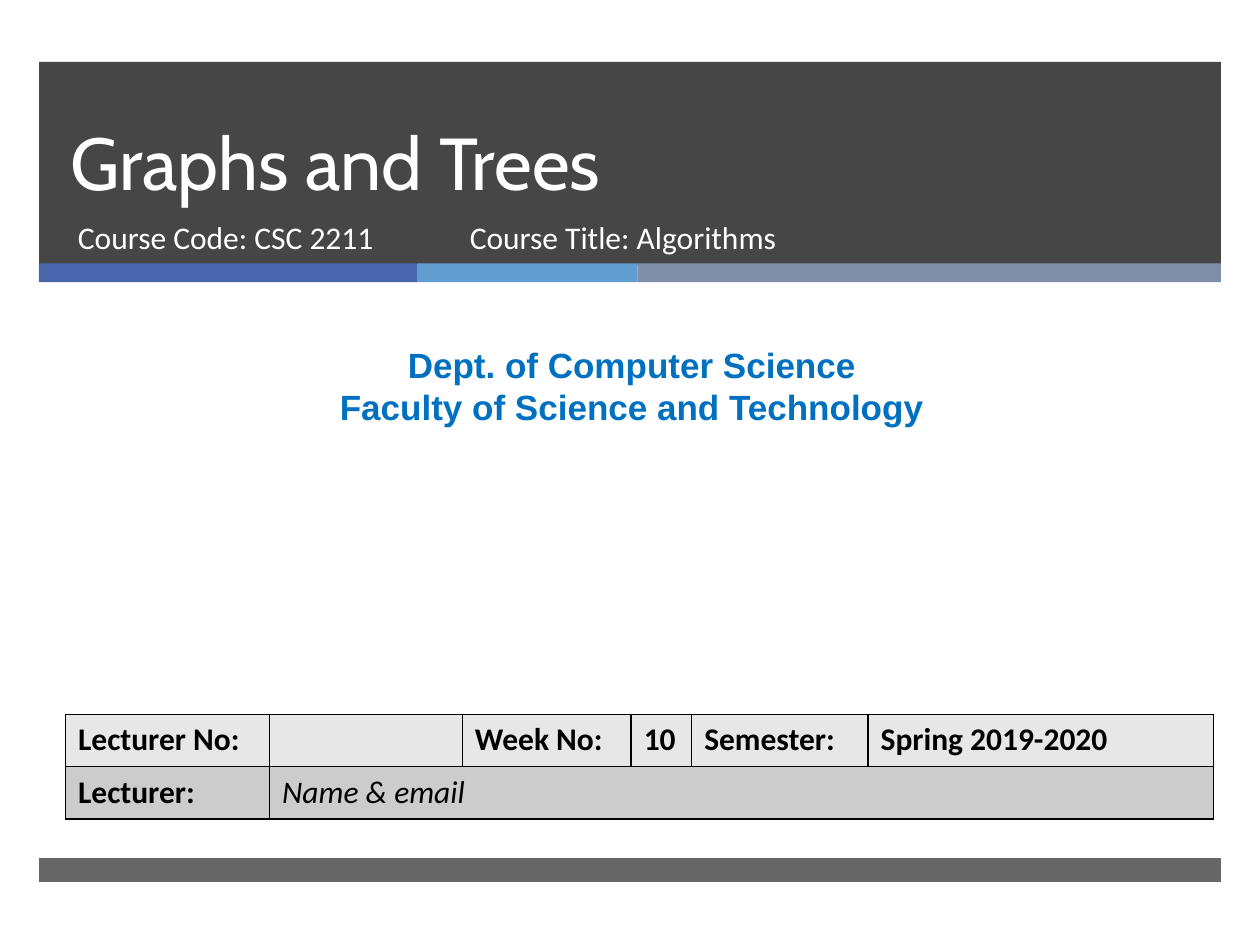
from lxml.etree import SubElement
from pptx import Presentation
from pptx.dml.color import RGBColor
from pptx.enum.shapes import MSO_SHAPE
from pptx.enum.text import MSO_ANCHOR, PP_ALIGN
from pptx.oxml.ns import qn
from pptx.util import Inches, Pt

WHITE = "FFFFFF"
BLACK = "000000"
CHARCOAL = "262626"
BLUE = "0070C0"


def color(value):
    return RGBColor.from_string(value)


def add_bar(slide, left, top, width, height, fill, opacity=100):
    shape = slide.shapes.add_shape(
        MSO_SHAPE.RECTANGLE, Inches(left), Inches(top), Inches(width), Inches(height))
    shape.shadow.inherit = False
    shape.line.fill.background()
    shape.fill.solid()
    shape.fill.fore_color.rgb = color(fill)
    if opacity < 100:
        fill_color = shape.element.spPr.find(qn("a:solidFill"))[0]
        SubElement(fill_color, qn("a:alpha"), val=str(opacity * 1000))


def add_run(paragraph, text, size, font, fill, bold=False, italic=False):
    run = paragraph.add_run()
    run.text = text
    run.font.size = Pt(size)
    run.font.name = font
    run.font.color.rgb = color(fill)
    run.font.bold = bold
    run.font.italic = italic


def add_text(slide, left, top, width, height, lines, size, font, fill,
             bold=False, align=PP_ALIGN.LEFT, anchor=MSO_ANCHOR.TOP, spacing=None):
    shape = slide.shapes.add_textbox(
        Inches(left), Inches(top), Inches(width), Inches(height))
    frame = shape.text_frame
    frame.word_wrap = True
    frame.vertical_anchor = anchor
    for index, line in enumerate(lines):
        paragraph = frame.add_paragraph() if index else frame.paragraphs[0]
        paragraph.alignment = align
        if spacing:
            paragraph.line_spacing = Pt(spacing)
        add_run(paragraph, line, size, font, fill, bold)


def add_header(slide, left, top, width, height):
    add_bar(slide, left, top, width, height, CHARCOAL, 85)
    stripe_left = left
    for stripe_width, fill in ((3, "4A66AC"), (1.75, "629DD1"), (width - 4.75, "7F8FA9")):
        add_bar(slide, stripe_left, top + height - 0.01, stripe_width, 0.15, fill)
        stripe_left += stripe_width
    add_text(slide, left + 0.15, top, 8.54, 1.19, ["Graphs and Trees"], 42, "Cabin", WHITE,
             anchor=MSO_ANCHOR.BOTTOM, spacing=46)
    for offset, text_width, text in ((0.21, 3.05, "Course Code: CSC 2211"),
                                     (3.32, 4.55, "Course Title: Algorithms")):
        add_text(slide, left + offset, top + 1.19, text_width, 0.53, [text],
                 18, "Calibri", WHITE)


def add_department(slide, left, top, width, height):
    lines = ["Dept. of Computer Science", "Faculty of Science and Technology"]
    add_text(slide, left, top, width, height, lines, 20, "Arial", BLUE,
             bold=True, align=PP_ALIGN.CENTER)


def style_cell(cell, fill):
    properties = cell._tc.get_or_add_tcPr()
    for side in ("a:lnL", "a:lnR", "a:lnT", "a:lnB"):
        border = SubElement(properties, qn(side), w=str(Pt(1)))
        SubElement(SubElement(border, qn("a:solidFill")), qn("a:srgbClr"), val=BLACK)
    cell.fill.solid()
    cell.fill.fore_color.rgb = color(fill)


def add_lecture_table(slide, left, top, width, height):
    rows = [
        ("E7E7E7", ["Lecturer No:", "", "Week No:", "10", "Semester:", "Spring 2019-2020"]),
        ("CCCCCC", ["Lecturer:", "Name & email", "", "", "", ""]),
    ]
    column_widths = [1.62, 1.53, 1.34, 0.48, 1.4, 2.74]
    table = slide.shapes.add_table(
        len(rows), len(column_widths),
        Inches(left), Inches(top), Inches(width), Inches(height)).table
    for column, column_width in zip(table.columns, column_widths):
        column.width = Inches(column_width)
    for row_index, (fill, texts) in enumerate(rows):
        for column_index, text in enumerate(texts):
            cell = table.cell(row_index, column_index)
            style_cell(cell, fill)
            if text:
                is_contact = text == "Name & email"
                add_run(cell.text_frame.paragraphs[0], text, 18, "Calibri", BLACK,
                        bold=not is_contact, italic=is_contact)
    table.cell(1, 1).merge(table.cell(1, 5))


def main():
    presentation = Presentation()
    presentation.slide_width = Inches(10)
    presentation.slide_height = Inches(7.5)
    slide = presentation.slides.add_slide(presentation.slide_layouts[6])
    add_header(slide, 0.31, 0.49, 9.38, 1.61)
    add_bar(slide, 0.31, 6.81, 9.38, 0.19, CHARCOAL, 70)
    add_department(slide, 0.08, 2.68, 9.87, 0.77)
    add_lecture_table(slide, 0.52, 5.67, 9.12, 0.83)
    presentation.save("out.pptx")


if __name__ == "__main__":
    main()
